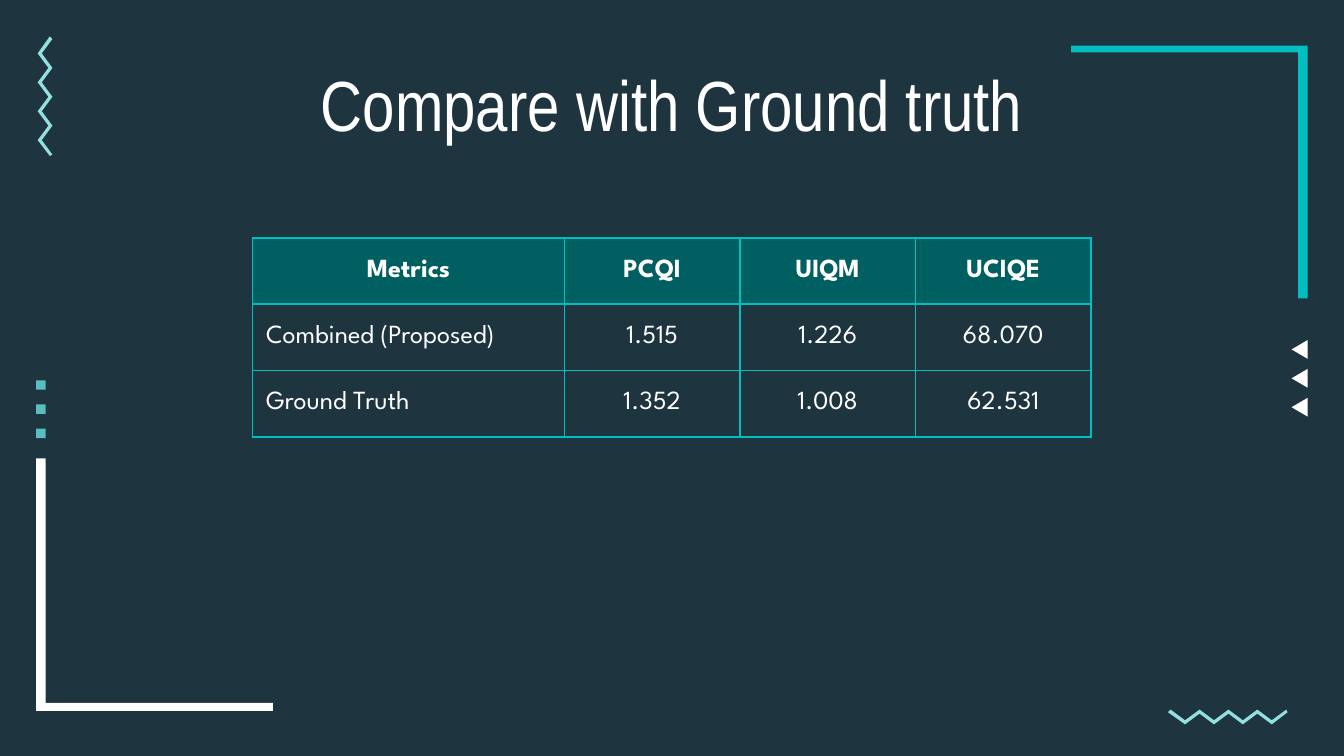
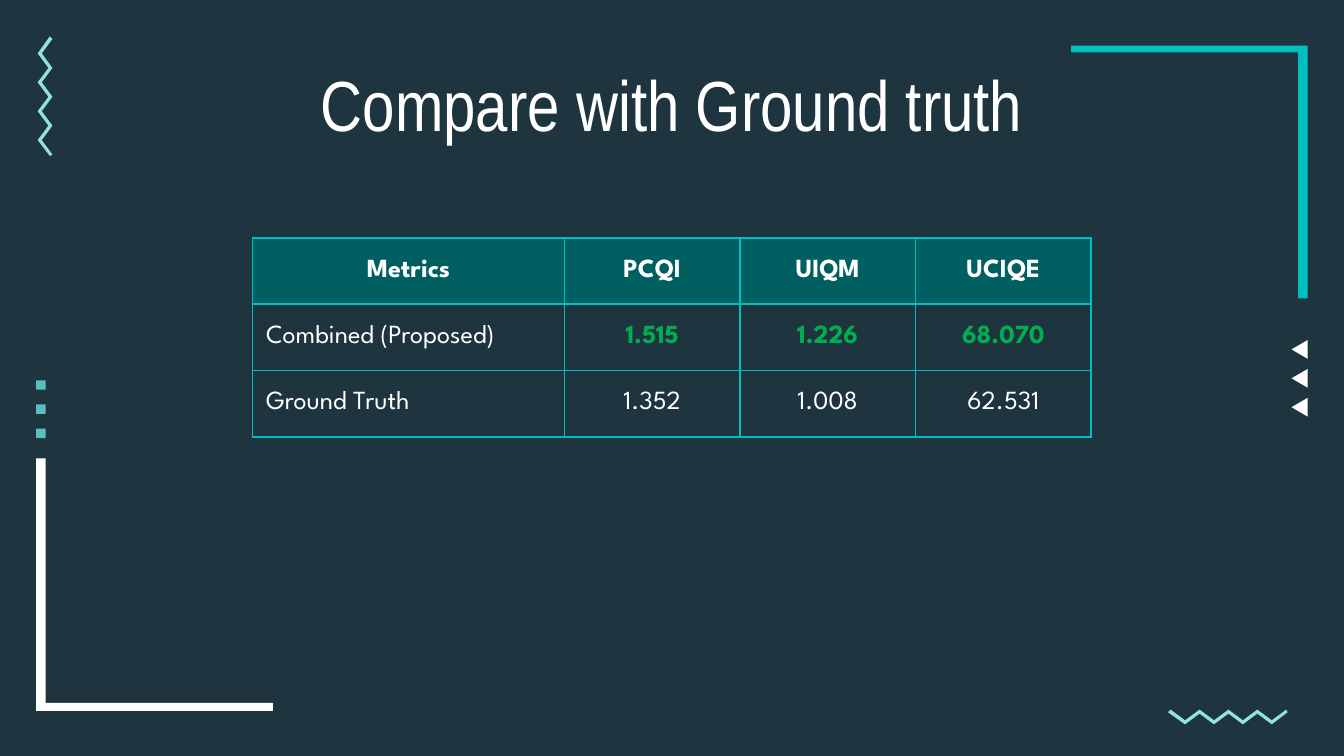
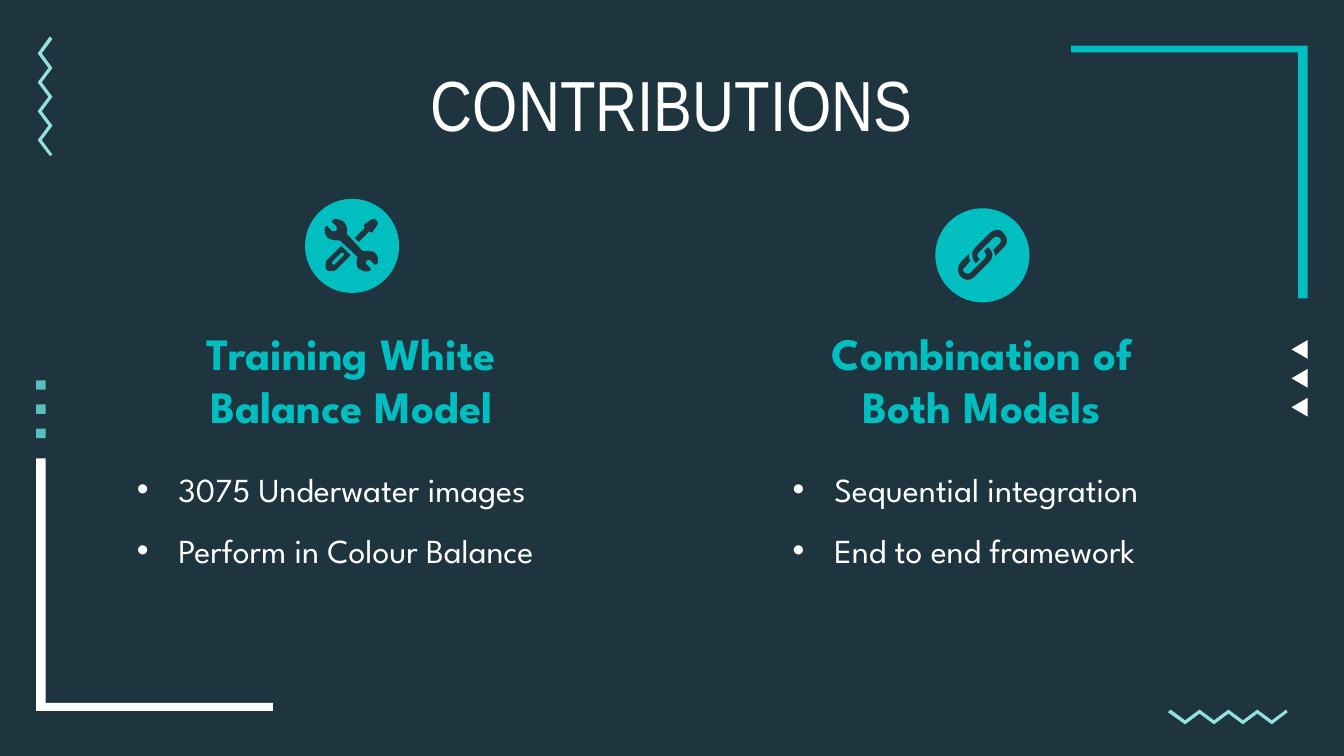
from lxml import etree
from pptx import Presentation
from pptx.dml.color import RGBColor
from pptx.enum import shapes, text
from pptx.oxml.ns import qn
from pptx.util import Inches, Pt

NAVY = RGBColor(0x1E, 0x34, 0x3F)
TEAL = RGBColor(0x01, 0xBE, 0xC0)
DARK_TEAL = RGBColor(0x00, 0x5F, 0x60)
MID_TEAL = RGBColor(0x58, 0xBE, 0xBF)
PALE_TEAL = RGBColor(0x92, 0xE0, 0xE0)
WHITE = RGBColor(0xFF, 0xFF, 0xFF)
GREEN = RGBColor(0x00, 0xB0, 0x50)

TITLE = dict(name="Arial Narrow", size=Pt(38), bold=False)
HEADING = dict(name="League Spartan", size=Pt(24), bold=True)
BODY = dict(name="League Spartan", size=Pt(18), bold=False)
CELL = dict(name="League Spartan", size=Pt(14))
CENTER, LEFT = text.PP_ALIGN.CENTER, text.PP_ALIGN.LEFT
PRESET = shapes.MSO_SHAPE


def paint(sp, color):
    """Give a shape a plain fill without line or shadow."""
    sp.shadow.inherit = False
    sp.line.fill.background()
    sp.fill.solid()
    sp.fill.fore_color.rgb = color
    return sp


def outline(tree, color, *contours):
    """Draw closed contours; a 2-tuple is a corner, a 6-tuple a Bézier curve."""
    builder = None
    for contour in contours:
        pts = [contour[0]]
        for seg in contour[1:]:
            if len(seg) == 2:
                pts.append(seg)
                continue
            ctrl = [pts[-1], seg[:2], seg[2:4], seg[4:]]
            for t in (0.25, 0.5, 0.75, 1):
                weights = ((1 - t) ** 3, 3 * t * (1 - t) ** 2, 3 * t * t * (1 - t), t ** 3)
                pts.append(tuple(sum(w * c[i] for w, c in zip(weights, ctrl)) for i in (0, 1)))
        emu = [(Inches(x), Inches(y)) for x, y in pts]
        if builder is None:
            builder = tree.build_freeform(*emu[0], scale=1.0)
        else:
            builder.move_to(*emu[0])
        builder.add_line_segments(emu[1:], close=True)
    return paint(builder.convert_to_shape(), color)


prs = Presentation()
prs.slide_width = Inches(10)
prs.slide_height = prs.slide_width * 9 // 16
background = prs.slide_master.background.fill
background.solid()
background.fore_color.rgb = NAVY

# Slides with the shared frame
texts = []
slides = []
for title in ("Compare with Ground truth", "Compare with Ground truth", "CONTRIBUTIONS"):
    s = prs.slides.add_slide(prs.slide_layouts[6])
    slides.append(s)
    texts.append((s, (0.78, 0.4, 8.44, 0.68), 0.05, TITLE, WHITE, CENTER, [title]))

    for left, top, rotation in ((8.69, 5.28, 0), (-0.11, 0.66, 90)):
        upper = [(left + 0.02 + 0.86 * i / 8, top + 0.08 * (i % 2)) for i in range(9)]
        lower = [(x, y + 0.03) for x, y in upper[1:-1]]
        ends = (left + 0.89, top + 0.02), (left, top + 0.02)
        zigzag = outline(s.shapes, PALE_TEAL, [*upper, ends[0], *lower[::-1], ends[1]])
        zigzag.rotation = rotation

    for preset, left, top, step, w, h, rotation, color in (
            (PRESET.ISOSCELES_TRIANGLE, 9.6, 2.54, 0.215, 0.14, 0.12, 270, WHITE),
            (PRESET.RECTANGLE, 0.27, 2.83, 0.18, 0.07, 0.07, 0, MID_TEAL)):
        for i in range(3):
            mark = s.shapes.add_shape(preset, Inches(left), Inches(top + step * i),
                                      Inches(w), Inches(h))
            paint(mark, color).rotation = rotation

    outline(s.shapes, TEAL, [(7.97, 0.34), (7.97, 0.39), (9.66, 0.39),
                             (9.66, 2.22), (9.73, 2.22), (9.73, 0.34)])
    outline(s.shapes, WHITE, [(0.27, 3.41), (0.27, 5.29), (2.03, 5.29),
                              (2.03, 5.23), (0.34, 5.23), (0.34, 3.41)])

# Metric tables: the second one marks the best scores
METRICS = [("Metrics", "PCQI", "UIQM", "UCIQE"),
           ("Combined (Proposed)", "1.515", "1.226", "68.070"),
           ("Ground Truth", "1.352", "1.008", "62.531")]
METRIC_WIDTH = (6.24 - 2.32) / 3
for s, highlight in zip(slides, (False, True)):
    table = s.shapes.add_table(3, 4, Inches(1.88), Inches(1.77),
                               Inches(6.24), Inches(1.48)).table
    table.horz_banding = False
    for c in range(4):
        table.columns[c].width = Inches(METRIC_WIDTH if c else 2.32)
    for r, row in enumerate(METRICS):
        table.rows[r].height = Inches(1.48 / 3)
        for c, value in enumerate(row):
            cell = table.cell(r, c)
            tcPr = cell._tc.get_or_add_tcPr()
            for side in ("a:lnL", "a:lnR", "a:lnT", "a:lnB"):
                ln = etree.SubElement(tcPr, qn(side), w=str(Pt(1)))
                solid = etree.SubElement(ln, qn("a:solidFill"))
                etree.SubElement(solid, qn("a:srgbClr"), val=str(TEAL))
            if r == 0:
                cell.fill.solid()
                cell.fill.fore_color.rgb = DARK_TEAL
            else:
                cell.fill.background()
            cell.vertical_anchor = text.MSO_ANCHOR.MIDDLE
            best = highlight and r == 1 and c > 0
            p = cell.text_frame.paragraphs[0]
            p.alignment = LEFT if r and c == 0 else CENTER
            run = p.add_run()
            run.text = value
            for key, val in CELL.items():
                setattr(run.font, key, val)
            run.font.bold = r == 0 or best
            run.font.color.rgb = GREEN if best else WHITE

# Contributions
s = slides[2]
texts += [
    (s, (0.9, 2.32, 3.43, 0.98), 0.1, HEADING, TEAL, CENTER, ["Training White Balance Model"]),
    (s, (5.96, 2.32, 2.69, 1.04), 0.1, HEADING, TEAL, CENTER, ["Combination of Both Models"]),
    (s, (0.92, 3.24, 3.57, 1.52), 0.1, BODY, WHITE, LEFT,
     ["3075 Underwater images", "Perform in Colour Balance"]),
    (s, (5.8, 3.24, 3.01, 1.52), 0.1, BODY, WHITE, LEFT,
     ["Sequential integration", "End to end framework"]),
]

WRENCH = [(2.5, 1.63), (2.48, 1.63, 2.47, 1.64, 2.47, 1.65), (2.5, 1.68),
          (2.51, 1.69, 2.51, 1.71, 2.5, 1.72), (2.49, 1.72, 2.48, 1.72, 2.47, 1.72),
          (2.44, 1.69), (2.44, 1.68, 2.43, 1.68, 2.42, 1.69),
          (2.41, 1.72, 2.42, 1.75, 2.44, 1.77), (2.46, 1.78, 2.48, 1.79, 2.53, 1.79),
          (2.66, 1.91), (2.65, 1.95, 2.65, 1.98, 2.67, 2),
          (2.69, 2.01, 2.71, 2.02, 2.73, 2.02), (2.75, 2.02, 2.76, 2.01, 2.76, 2),
          (2.73, 1.97), (2.72, 1.96, 2.72, 1.95, 2.73, 1.94),
          (2.74, 1.93, 2.75, 1.93, 2.76, 1.94), (2.79, 1.97),
          (2.8, 1.97, 2.8, 1.97, 2.81, 1.96), (2.82, 1.93, 2.81, 1.9, 2.79, 1.88),
          (2.77, 1.87, 2.75, 1.86, 2.7, 1.87), (2.58, 1.74),
          (2.59, 1.71, 2.58, 1.68, 2.56, 1.65), (2.54, 1.64, 2.52, 1.63, 2.5, 1.63)]
HANDLE = [(2.54, 1.83), (2.43, 1.94), (2.42, 1.96, 2.42, 1.99, 2.43, 2.01),
          (2.45, 2.02, 2.48, 2.02, 2.5, 2.01), (2.61, 1.9)]
HANDLE_SLOT = [(2.55, 1.88), (2.56, 1.88, 2.56, 1.89, 2.56, 1.9), (2.49, 1.97),
               (2.48, 1.97, 2.47, 1.97, 2.47, 1.95), (2.54, 1.88)]
BLADE = [(2.78, 1.63), (2.77, 1.63), (2.71, 1.67), (2.71, 1.69), (2.72, 1.69),
         (2.64, 1.77), (2.67, 1.8), (2.75, 1.72), (2.76, 1.73), (2.77, 1.73),
         (2.81, 1.67), (2.81, 1.65), (2.79, 1.63)]
LOWER_LINK = [(7.35, 1.84), (7.32, 1.87), (7.33, 1.88), (7.34, 1.89, 7.34, 1.91, 7.33, 1.92),
              (7.22, 2.03), (7.21, 2.04, 7.19, 2.04, 7.18, 2.03),
              (7.16, 2.02, 7.16, 2, 7.18, 1.99), (7.22, 1.94),
              (7.21, 1.93, 7.21, 1.91, 7.21, 1.89), (7.15, 1.95),
              (7.12, 1.98, 7.12, 2.03, 7.15, 2.06), (7.18, 2.09, 7.22, 2.09, 7.25, 2.06),
              (7.36, 1.95), (7.38, 1.93, 7.39, 1.9, 7.38, 1.88), (7.37, 1.86)]
UPPER_LINK = [(7.42, 1.71), (7.4, 1.71, 7.38, 1.72, 7.36, 1.74), (7.25, 1.85),
              (7.23, 1.87, 7.23, 1.9, 7.24, 1.93), (7.26, 1.96), (7.29, 1.93), (7.28, 1.92),
              (7.27, 1.91, 7.27, 1.89, 7.28, 1.88), (7.39, 1.77),
              (7.4, 1.76, 7.43, 1.76, 7.44, 1.77), (7.45, 1.78, 7.45, 1.8, 7.44, 1.81),
              (7.39, 1.86), (7.4, 1.88, 7.41, 1.89, 7.4, 1.91), (7.47, 1.84),
              (7.5, 1.81, 7.5, 1.77, 7.47, 1.74), (7.46, 1.72, 7.44, 1.71, 7.42, 1.71)]
for left, top, parts in ((2.27, 1.48, [[WRENCH], [HANDLE, HANDLE_SLOT], [BLADE]]),
                         (6.96, 1.55, [[LOWER_LINK], [UPPER_LINK]])):
    icon = s.shapes.add_group_shape().shapes
    disc = icon.add_shape(PRESET.OVAL, Inches(left), Inches(top), Inches(0.7), Inches(0.7))
    paint(disc, TEAL)
    for contours in parts:
        outline(icon, NAVY, *contours)

# Titles, headings and bullet lists
for s, box, inset, style, color, align, lines in texts:
    tf = s.shapes.add_textbox(*map(Inches, box)).text_frame
    tf.word_wrap = True
    tf.margin_top = tf.margin_bottom = Inches(inset)
    for i, line in enumerate(lines):
        p = tf.add_paragraph() if i else tf.paragraphs[0]
        p.alignment = align
        if style is BODY:
            pPr = p._p.get_or_add_pPr()
            pPr.set("marL", str(Inches(0.31)))
            pPr.set("indent", str(-Inches(0.31)))
            bullet_color = etree.SubElement(pPr, qn("a:buClr"))
            etree.SubElement(bullet_color, qn("a:srgbClr"), val=str(WHITE))
            etree.SubElement(pPr, qn("a:buFont"), typeface="Arial")
            etree.SubElement(pPr, qn("a:buChar"), char="•")
            p.line_spacing = 1.5
        run = p.add_run()
        run.text = line
        for key, val in style.items():
            setattr(run.font, key, val)
        run.font.color.rgb = color

prs.save("out.pptx")
